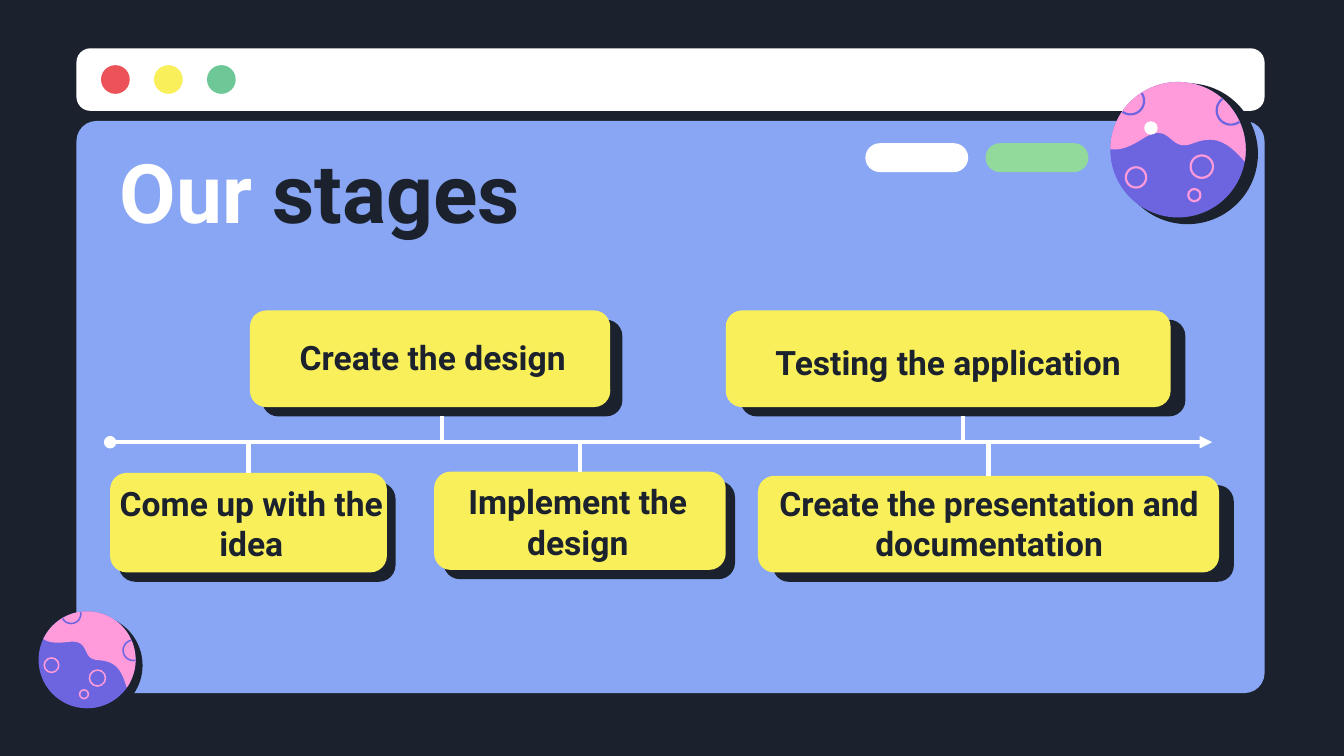
from dataclasses import dataclass
from math import atan2, cos, hypot, pi, radians, sin
from typing import NamedTuple

from lxml.etree import SubElement
from pptx import Presentation
from pptx.dml.color import RGBColor
from pptx.enum.shapes import MSO_CONNECTOR, MSO_SHAPE
from pptx.enum.text import MSO_ANCHOR, PP_ALIGN
from pptx.oxml.ns import qn
from pptx.util import Pt


@dataclass(frozen=True)
class Theme:
    font: str = "Roboto"
    title_size: float = 44
    label_size: float = 18
    line_width: float = 2.25
    inset: float = 7.2
    navy: str = "1B222D"
    blue: str = "88A6F3"
    white: str = "FFFFFF"
    yellow: str = "F8EF5B"
    red: str = "EB5358"
    green: str = "6DC797"
    mint: str = "92D99C"
    purple: str = "6D65E0"
    pink: str = "FF9BDA"


class Box(NamedTuple):
    left: float
    top: float
    width: float
    height: float


class Point(NamedTuple):
    x: float
    y: float


class Run(NamedTuple):
    text: str
    color: str


class Stage(NamedTuple):
    name: str
    card: Box
    shadow_offset: Point
    label: Box


class Crater(NamedTuple):
    center: Point
    radius: float


class Planet(NamedTuple):
    center: Point
    radius: float
    tilt: float


THEME = Theme()
AXIS_Y = 236.9

STAGES = [
    Stage("Create the presentation and documentation", Box(406.1, 254.9, 247, 51.8),
          Point(7.9, 5), Box(406.1, 259.2, 247.7, 41.8)),
    Stage("Implement the design", Box(232.6, 252.7, 156.2, 52.6),
          Point(5, 5), Box(221, 258.5, 177.1, 41.8)),
    Stage("Come up with the idea", Box(59, 253.4, 148.3, 53.3),
          Point(4.6, 5), Box(53.3, 257.8, 162.7, 44.6)),
    Stage("Create the design", Box(133.9, 166.3, 193, 51.8),
          Point(6.5, 5), Box(136.8, 164.9, 190.1, 52.6)),
    Stage("Testing the application", Box(388.8, 166.3, 238.3, 51.8),
          Point(7.9, 5), Box(384.5, 172.8, 247, 41.8)),
]

# Planet details, in units of the planet's radius around its centre.
WAVE = [
    [Point(0.98, 0.17), Point(0.7, -0.15), Point(0.52, -0.21), Point(0.21, -0.09)],
    [Point(0.21, -0.09), Point(-0.15, 0.05), Point(-0.09, -0.45), Point(-0.54, -0.15)],
    [Point(-0.54, -0.15), Point(-0.76, -0.01), Point(-0.9, 0.01), Point(-1, -0.01)],
]
CRATERS = [Crater(Point(-0.62, 0.41), 0.15), Crater(Point(0.35, 0.25), 0.165),
           Crater(Point(0.24, 0.67), 0.09)]
EDGE_CRATERS = [Crater(Point(-0.7, -0.72), 0.2), Crater(Point(0.78, -0.58), 0.21)]
PLANETS = [Planet(Point(631.1, 80.2), 36.3, 0), Planet(Point(46.7, 353.5), 26, 25)]


def paint(shape, fill: str | None, line: str | None = None, width: float = 0) -> None:
    shape.shadow.inherit = False
    if fill:
        shape.fill.solid()
        shape.fill.fore_color.rgb = RGBColor.from_string(fill)
    else:
        shape.fill.background()
    if line:
        shape.line.color.rgb = RGBColor.from_string(line)
        shape.line.width = Pt(width)
    else:
        shape.line.fill.background()


def add_rounded(slide, box: Box, fill: str, corner: float = 0.167):
    shape = slide.shapes.add_shape(MSO_SHAPE.ROUNDED_RECTANGLE, *map(Pt, box))
    shape.adjustments[0] = corner
    paint(shape, fill)
    return shape


def add_circle(slide, center: Point, radius: float, fill: str | None,
               line: str | None = None, width: float = 0) -> None:
    box = Box(center.x - radius, center.y - radius, 2 * radius, 2 * radius)
    paint(slide.shapes.add_shape(MSO_SHAPE.OVAL, *map(Pt, box)), fill, line, width)


def add_outline(slide, points: list[Point], closed: bool):
    """Freeform through points, kept to hundredths of a point."""
    grid = [(round(x * 100), round(y * 100)) for x, y in points]
    builder = slide.shapes.build_freeform(*grid[0], scale=Pt(1) / 100)
    builder.add_line_segments(grid[1:], close=closed)
    return builder.convert_to_shape()


def add_text(slide, box: Box, runs: list[Run], size: float, alignment: PP_ALIGN) -> None:
    frame = slide.shapes.add_textbox(*map(Pt, box)).text_frame
    frame.word_wrap = True
    frame.vertical_anchor = MSO_ANCHOR.MIDDLE
    frame.margin_left = frame.margin_right = Pt(THEME.inset)
    frame.margin_top = frame.margin_bottom = Pt(THEME.inset)
    paragraph = frame.paragraphs[0]
    paragraph.alignment = alignment
    for text, color in runs:
        run = paragraph.add_run()
        run.text = text
        run.font.name = THEME.font
        run.font.size = Pt(size)
        run.font.bold = True
        run.font.color.rgb = RGBColor.from_string(color)


def add_line(slide, start: Point, end: Point):
    connector = slide.shapes.add_connector(MSO_CONNECTOR.STRAIGHT, *map(Pt, start + end))
    connector.line.color.rgb = RGBColor.from_string(THEME.white)
    connector.line.width = Pt(THEME.line_width)
    SubElement(connector._element.spPr, qn("a:effectLst"))
    return connector


def add_timeline(slide) -> None:
    axis = add_line(slide, Point(59, AXIS_Y), Point(649.4, AXIS_Y))
    line = axis.line._get_or_add_ln()
    SubElement(line, qn("a:headEnd"), type="oval")
    SubElement(line, qn("a:tailEnd"), type="triangle")


def add_stage(slide, stage: Stage) -> None:
    """Card with its shadow and label, joined to the timeline by a stem."""
    card_box, offset = stage.card, stage.shadow_offset
    shadow_box = card_box._replace(left=card_box.left + offset.x, top=card_box.top + offset.y)
    shadow = add_rounded(slide, shadow_box, THEME.navy)
    card = add_rounded(slide, card_box, THEME.yellow)
    add_text(slide, stage.label, [Run(stage.name, THEME.navy)], THEME.label_size, PP_ALIGN.CENTER)
    if card_box.top < AXIS_Y:
        joined, side, box, y = shadow, 2, shadow_box, shadow_box.top + shadow_box.height
    else:
        joined, side, box, y = card, 0, card_box, card_box.top
    x = box.left + box.width / 2
    add_line(slide, Point(x, y), Point(x, AXIS_Y)).begin_connect(joined, side)


def bezier(controls: list[Point], steps: int = 16) -> list[Point]:
    points = []
    for step in range(steps + 1):
        t = step / steps
        weights = ((1 - t) ** 3, 3 * t * (1 - t) ** 2, 3 * t * t * (1 - t), t ** 3)
        points.append(Point(sum(w * p.x for w, p in zip(weights, controls)),
                            sum(w * p.y for w, p in zip(weights, controls))))
    return points


def add_planet(slide, planet: Planet) -> None:
    center, radius, tilt = planet.center, planet.radius, radians(planet.tilt)

    def place(point: Point) -> Point:
        """Turn a planet point by the tilt and bring it onto the slide."""
        return Point(center.x + radius * (point.x * cos(tilt) - point.y * sin(tilt)),
                     center.y + radius * (point.x * sin(tilt) + point.y * cos(tilt)))

    ring_width = round(radius * 0.032, 2)
    add_circle(slide, place(Point(0.14, 0.06)), radius * 1.04, THEME.navy)
    add_circle(slide, center, radius, THEME.purple)
    sky = [Point(cos(radians(a)), sin(radians(a))) for a in range(180, 371, 5)]
    waves = [point for curve in WAVE for point in bezier(curve)]
    paint(add_outline(slide, [place(p) for p in sky + waves], True), THEME.pink)
    for crater in CRATERS:
        add_circle(slide, place(crater.center), radius * crater.radius,
                   None, THEME.pink, ring_width)
    for (x, y), size in EDGE_CRATERS:
        outward = atan2(y, x)
        angles = [outward + 2 * pi * step / 72 for step in range(72)]
        ring = [Point(x + size * cos(a), y + size * sin(a)) for a in angles]
        inside = [place(p) for p in ring if hypot(*p) <= 1]
        paint(add_outline(slide, inside, False), None, THEME.purple, ring_width)


def add_window(slide) -> None:
    add_rounded(slide, Box(41, 64.8, 636.5, 306.5), THEME.blue, 0.035)
    add_rounded(slide, Box(41, 25.9, 636.5, 33.5), THEME.white, 0.223)
    for index, color in enumerate([THEME.red, THEME.yellow, THEME.green]):
        add_circle(slide, Point(61.8 + 28.4 * index, 42.6), 7.7, color)
    for index, color in enumerate([THEME.white, THEME.mint]):
        add_rounded(slide, Box(463.6 + 64.4 * index, 76.7, 55.1, 15.5), color, 0.5)


def main() -> None:
    presentation = Presentation()
    presentation.slide_width, presentation.slide_height = Pt(720), Pt(405)
    slide = presentation.slides.add_slide(presentation.slide_layouts[6])
    slide.background.fill.solid()
    slide.background.fill.fore_color.rgb = RGBColor.from_string(THEME.navy)
    add_window(slide)
    for planet in PLANETS:
        add_planet(slide, planet)
    add_circle(slide, Point(616.6, 68.6), 3.6, THEME.white)
    add_text(slide, Box(56.9, 79.9, 607, 44.6),
             [Run("Our ", THEME.white), Run("stages", THEME.navy)],
             THEME.title_size, PP_ALIGN.LEFT)
    add_timeline(slide)
    for stage in STAGES:
        add_stage(slide, stage)
    presentation.save("out.pptx")


if __name__ == "__main__":
    main()
